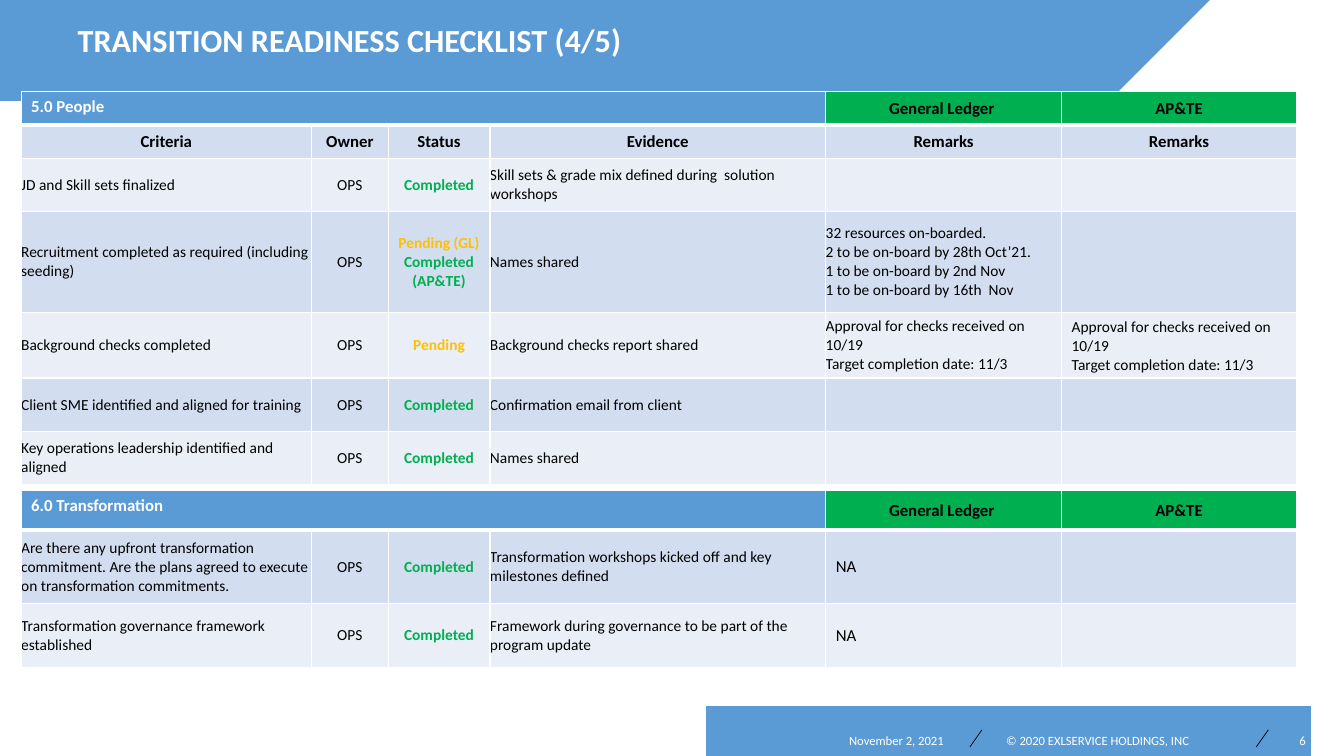
from lxml import etree
from pptx import Presentation
from pptx import util as u
from pptx.dml.color import RGBColor
from pptx.enum import shapes, text
from pptx.oxml import ns

BLUE = RGBColor(0x5B, 0x9B, 0xD5)
GREEN = RGBColor(0x00, 0xB0, 0x50)
AMBER = RGBColor(0xFF, 0xC0, 0x00)
WHITE = RGBColor(0xFF, 0xFF, 0xFF)
BLACK = RGBColor(0, 0, 0)
BANDS = RGBColor(0xEA, 0xEF, 0xF7), RGBColor(0xD2, 0xDE, 0xEF)
WIDE, HIGH = 13.33, 7.5
COLS = 2.88, 0.76, 1.01, 3.33, 2.34, 2.33
LEFT, MID, RIGHT = text.PP_ALIGN.LEFT, text.PP_ALIGN.CENTER, text.PP_ALIGN.RIGHT
CENTRE = text.MSO_ANCHOR.MIDDLE
OWNER, DONE, WAIT = "OPS", "Completed", "Pending"
CHECKS = "Approval for checks received on 10/19\nTarget completion date: 11/3"

HEADS = "Criteria", "Owner", "Status", "Evidence", "Remarks", "Remarks"
PEOPLE = [
    (0.53, ("JD and Skill sets finalized", OWNER, DONE,
            "Skill sets & grade mix defined during  solution workshops", "", "")),
    (1, ("Recruitment completed as required (including seeding)", OWNER,
         "Pending (GL)\nCompleted (AP&TE)", "Names shared",
         "32 resources on-boarded.\n2 to be on-board by 28th Oct’21.\n"
         "1 to be on-board by 2nd Nov\n1 to be on-board by 16th  Nov", "")),
    (0.53, ("Background checks completed", OWNER, WAIT,
            "Background checks report shared", CHECKS, CHECKS)),
    (0.53, ("Client SME identified and aligned for training", OWNER, DONE,
            "Confirmation email from client", "", "")),
    (0.53, ("Key operations leadership identified and aligned", OWNER, DONE,
            "Names shared", "", "")),
]
CHANGE = [
    (0.73, ("Are there any upfront transformation commitment. Are the plans agreed "
            "to execute on transformation commitments.", OWNER, DONE,
            "Transformation workshops kicked off and key milestones defined", "NA", "")),
    (0.63, ("Transformation governance framework established", OWNER, DONE,
            "Framework during governance to be part of the program update", "NA", "")),
]


def write(frame, words, size, color, bold=False, align=LEFT):
    """Write each line of words as a paragraph of one run."""
    for i, line in enumerate(words.split("\n")):
        para = frame.add_paragraph() if i else frame.paragraphs[0]
        para.alignment = align
        run = para.add_run()
        run.text = line
        font = run.font
        font.name, font.size, font.bold = "Calibri", u.Pt(size), bold
        font.color.rgb = color(line) if callable(color) else color


def inset(box, side, edge):
    """Set the side and the top and bottom margins of a cell or frame."""
    box.margin_left = box.margin_right = u.Inches(side)
    box.margin_top = box.margin_bottom = u.Inches(edge)


def outline(slide, points):
    """Draw a flat blue shape through the points."""
    build = slide.shapes.build_freeform(*points[0], scale=u.Inches(1))
    build.add_line_segments(points[1:], close=True)
    shape = build.convert_to_shape()
    shape.shadow.inherit = False
    shape.fill.solid()
    shape.fill.fore_color.rgb = BLUE
    shape.line.fill.background()


def banner(slide, box, words):
    """Draw the slanted top band and set the title on it."""
    x, y, w, h = box
    outline(slide, [(x, y), (x + w, y), (x + w - 0.55, y + h), (x, y + h)])
    title = slide.shapes.title
    title.element.getparent().append(title.element)
    title.left, title.top = u.Inches(x + 0.67), u.Inches(y + 0.1)
    title.width, title.height = u.Inches(10.53), u.Inches(h - 0.2)
    frame = title.text_frame
    frame.vertical_anchor = CENTRE
    write(frame, words, 23, WHITE, True)
    frame.paragraphs[0].line_spacing = 0.9


def footer(slide, box):
    """Draw the bottom band with its date, notice, number and strokes."""
    x, y, w, h = box
    outline(slide, [(x + 0.23, y), (x + w, y), (x + w, y + h), (x, y + h)])
    for at in (2.77, 5.61):
        line = slide.shapes.add_connector(
            shapes.MSO_CONNECTOR.STRAIGHT, u.Inches(x + at + 0.12), u.Inches(y + 0.07),
            u.Inches(x + at), u.Inches(y + 0.24))
        line.line.color.rgb, line.line.width = BLACK, u.Pt(0.5)
        etree.SubElement(line.element.spPr, ns.qn("a:effectLst"))
    for at, wide, words, align in (
            (0.24, 2.27, "November 2, 2021", RIGHT),
            (3.13, 2.27, "© 2020 EXLSERVICE HOLDINGS, INC", LEFT),
            (5.73, 0.37, "6", RIGHT)):
        note = slide.shapes.add_textbox(
            u.Inches(x + at), u.Inches(y + 0.1), u.Inches(wide), u.Inches(0.15))
        frame = note.text_frame
        frame.word_wrap = True
        inset(frame, 0, 0)
        write(frame, words, 9, WHITE, align=align)


def paint(cell, color, base=1):
    """Give a cell white borders and a fill."""
    prop = cell._tc.get_or_add_tcPr()
    for side, wide in zip("LRTB", (1, 1, 1, base)):
        edge = etree.SubElement(prop, ns.qn("a:ln" + side), w=str(u.Pt(wide)))
        fill = etree.SubElement(edge, ns.qn("a:solidFill"))
        etree.SubElement(fill, ns.qn("a:srgbClr"), val=str(WHITE))
    cell.fill.solid()
    cell.fill.fore_color.rgb = color


def tint(line):
    """Pick the colour of a status line."""
    return AMBER if line.startswith(WAIT) else GREEN


def fill_row(table, i, cells, pad):
    """Fill a checklist row, with pad as the side margin of remarks."""
    for j, words in enumerate(cells):
        cell = table.cell(i, j)
        paint(cell, BANDS[i % 2])
        if not words:
            continue
        cell.vertical_anchor = CENTRE
        inset(cell, (0, 0, 0, 0, pad, 0.1)[j], 0.05 if j == 5 else 0)
        write(cell.text_frame, words, 12 if words == "NA" else 11,
              tint if j == 2 else BLACK, j == 2, MID if j in (1, 2) else LEFT)


def checklist(slide, box, name, top, rows, pad, heads=()):
    """Build a checklist table with a section row and optional headings."""
    x, y, w, h = box
    count = 1 + bool(heads) + len(rows)
    frame = slide.shapes.add_table(count, len(COLS), *map(u.Inches, (x, y, w, h)))
    table = frame.table
    for col, wide in zip(table.columns, COLS):
        col.width = u.Inches(wide)
    sizes = [top] + [top] * bool(heads) + [tall for tall, _ in rows]
    for row, tall in zip(table.rows, sizes):
        row.height = u.Inches(tall)
    for j in range(len(COLS)):
        paint(table.cell(0, j), BLUE if j < 4 else GREEN, 3)
    table.cell(0, 0).merge(table.cell(0, 3))
    write(table.cell(0, 0).text_frame, name, 12, WHITE, True)
    for j, words in ((4, "General Ledger "), (5, "AP&TE")):
        table.cell(0, j).vertical_anchor = CENTRE
        write(table.cell(0, j).text_frame, words, 12, BLACK, True, MID)
    for j, words in enumerate(heads):
        cell = table.cell(1, j)
        paint(cell, BANDS[1])
        cell.vertical_anchor = CENTRE
        write(cell.text_frame, words, 12, BLACK, True, MID)
    for i, (_, cells) in enumerate(rows, count - len(rows)):
        fill_row(table, i, cells, pad)


def main():
    """Build and save the slide."""
    deck = Presentation()
    deck.slide_width, deck.slide_height = u.Inches(WIDE), u.Inches(HIGH)
    slide = deck.slides.add_slide(deck.slide_layouts[5])
    banner(slide, (0, 0, 11.86, 0.84), "TRANSITION READINESS CHECKLIST (4/5)")
    footer(slide, (6.85, 7.17, WIDE - 6.85, HIGH - 7.17))
    wide = sum(COLS)
    checklist(slide, (0.21, 0.91, wide, 3.78), "5.0 People", 0.33, PEOPLE, 0, HEADS)
    checklist(slide, (0.21, 4.87, wide, 1.75), "6.0 Transformation", 0.39, CHANGE, 0.1)
    deck.save("out.pptx")


if __name__ == "__main__":
    main()
